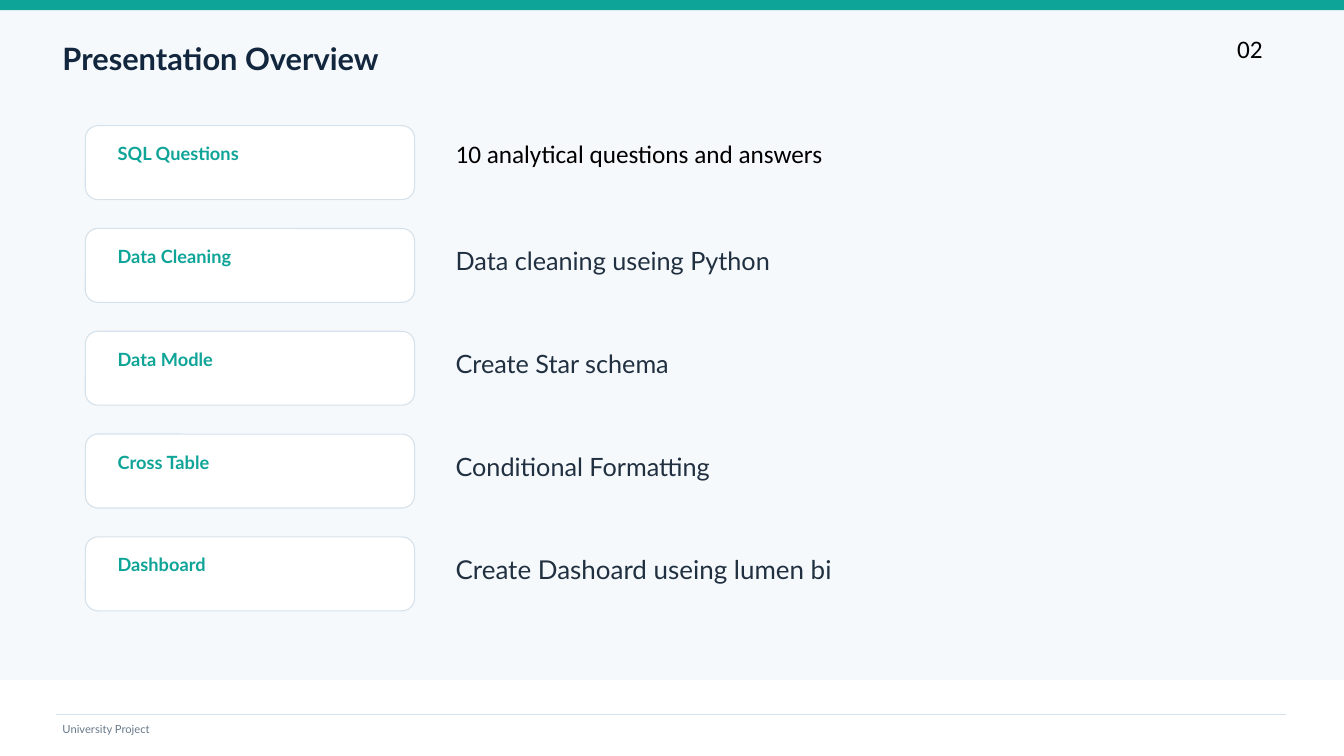
from pptx import Presentation
from pptx.dml.color import RGBColor
from pptx.enum.shapes import MSO_CONNECTOR, MSO_SHAPE
from pptx.oxml.ns import qn
from pptx.util import Inches, Pt
from lxml.etree import SubElement

COLORS = {
    "panel": "F6F9FC", "teal": "0EA497", "navy": "12263D", "black": "000000",
    "white": "FFFFFF", "border": "D6E2EB", "body": "203040", "muted": "687989",
}
PLAIN = {"font": "Calibri", "color": "black"}
TOPICS = [
    ("SQL Questions", "10 analytical questions and answers", {**PLAIN, "lift": 0.06}),
    ("Data Cleaning", "Data cleaning useing Python", {}),
    ("Data Modle", "Create Star schema", {}),
    ("Cross Table", "Conditional Formatting", {}),
    ("Dashboard", "Create Dashoard useing lumen bi", {"size": 27.8}),
]
FIRST_TOP, ROW_PITCH = 1.87, 1.53


def rgb(name):
    """Return the palette colour of that name."""
    return RGBColor.from_string(COLORS[name])


def add_text(slide, text, left, top, width, height, *, size=27, font="Lato",
             color="body", bold=False):
    """Add a one-line text box without margins and with exact line spacing."""
    box = slide.shapes.add_textbox(Inches(left), Inches(top), Inches(width), Inches(height))
    frame = box.text_frame
    frame.word_wrap = True
    frame.margin_left = frame.margin_right = frame.margin_top = frame.margin_bottom = 0
    paragraph = frame.paragraphs[0]
    paragraph.line_spacing = Pt(round(size * 1.2, 1))
    run = paragraph.add_run()
    run.text = text
    run.font.size = Pt(size)
    run.font.name = font
    run.font.bold = bold
    run.font.color.rgb = rgb(color)


def add_block(slide, preset, left, top, width, height, fill, border=None):
    """Add a filled preset shape, outlined only when a border colour is given."""
    block = slide.shapes.add_shape(
        preset, Inches(left), Inches(top), Inches(width), Inches(height))
    block.shadow.inherit = False
    block.fill.solid()
    block.fill.fore_color.rgb = rgb(fill)
    if border:
        block.line.color.rgb = rgb(border)
        block.line.width = Pt(1.2)
    else:
        block.line.fill.background()
    return block


def add_rule(slide, left, right, y):
    """Add a thin horizontal line."""
    rule = slide.shapes.add_connector(
        MSO_CONNECTOR.STRAIGHT, Inches(left), Inches(y), Inches(right), Inches(y))
    rule.line.color.rgb = rgb("border")
    rule.line.width = Pt(1.2)
    SubElement(rule.element.spPr, qn("a:effectLst"))


def add_topic(slide, top, label, detail, lift=0, **detail_format):
    """Add a topic card with its description to the right."""
    card = add_block(slide, MSO_SHAPE.ROUNDED_RECTANGLE, 1.27, top, 4.9, 1.1,
                     "white", border="border")
    card.adjustments[0] = 0.17
    add_text(slide, label, 1.75, top + 0.25, 3.93, 0.32,
             size=19.5, color="teal", bold=True)
    add_text(slide, detail, 6.78, top + 0.25 - lift, 10.91, 0.45, **detail_format)


def main():
    """Build the overview slide and save it."""
    deck = Presentation()
    deck.slide_width, deck.slide_height = Inches(20), Inches(11.25)
    slide = deck.slides.add_slide(deck.slide_layouts[6])

    add_block(slide, MSO_SHAPE.RECTANGLE, 0, 0, 20, 10.12, "panel")
    add_block(slide, MSO_SHAPE.RECTANGLE, 0, 0, 20, 0.15, "teal")
    add_text(slide, "Presentation Overview", 0.93, 0.59, 16.61, 0.72,
             size=33, color="navy", bold=True)
    add_text(slide, "02", 18.41, 0.5, 0.63, 0.49, **PLAIN)

    for row, (label, detail, detail_format) in enumerate(TOPICS):
        add_topic(slide, FIRST_TOP + row * ROW_PITCH, label, detail, **detail_format)

    add_rule(slide, 0.83, 19.14, 10.63)
    add_text(slide, "University Project", 0.93, 10.75, 7.31, 0.2, size=12, color="muted")
    deck.save("out.pptx")


if __name__ == "__main__":
    main()
